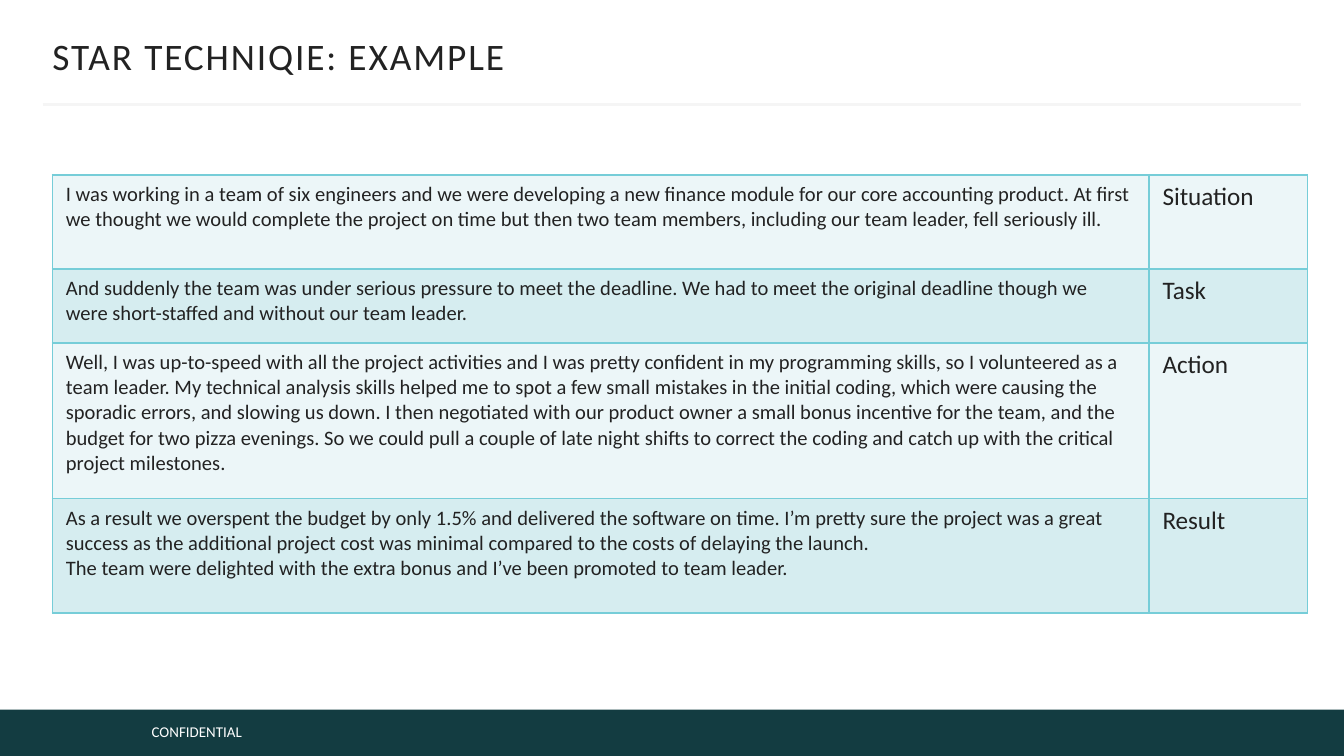
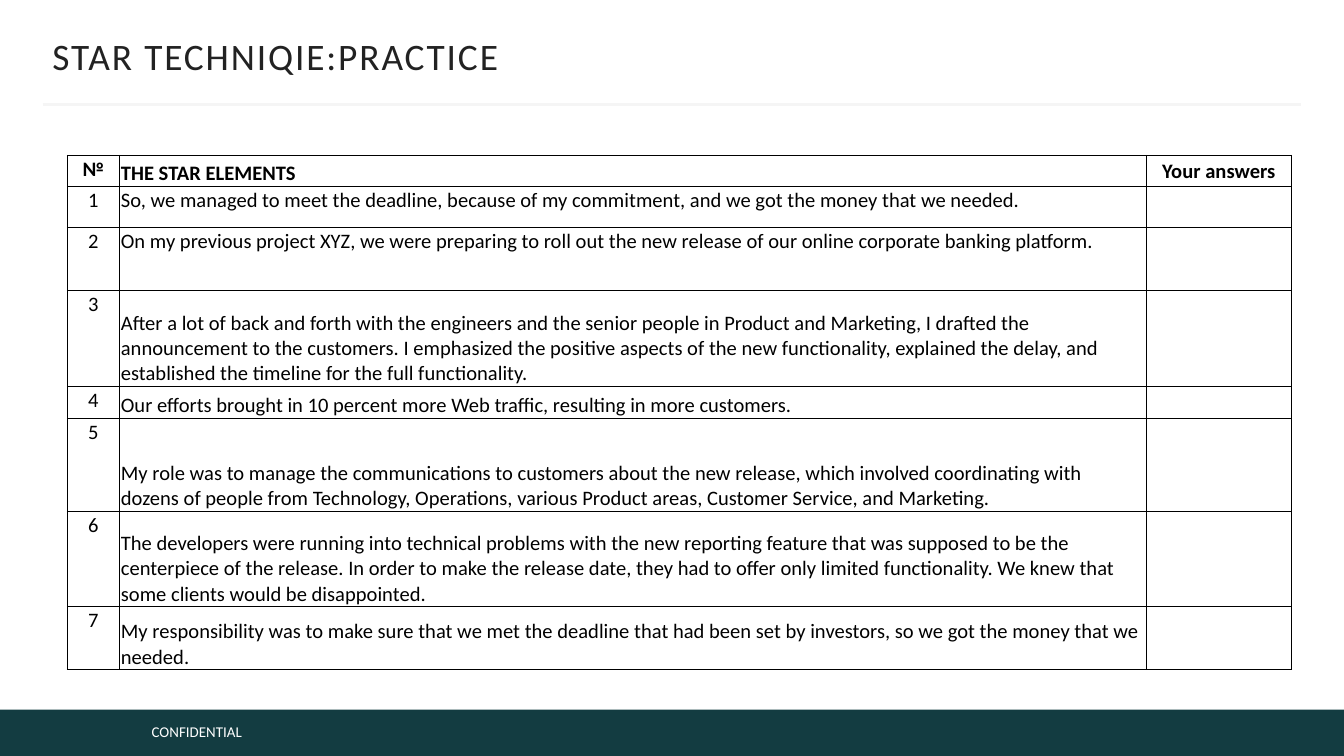
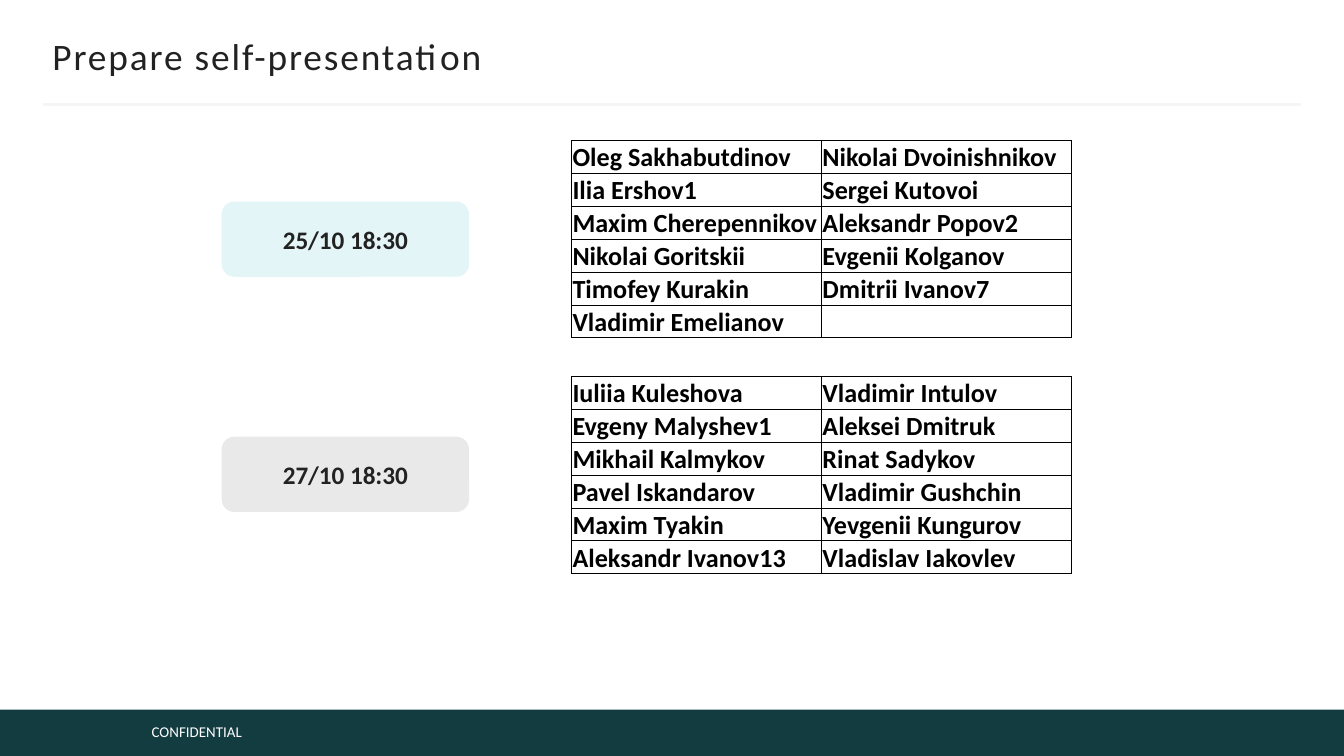
from lxml import etree
from pptx import Presentation
from pptx.dml.color import RGBColor
from pptx.enum.shapes import MSO_CONNECTOR, MSO_SHAPE
from pptx.enum.text import MSO_ANCHOR, PP_ALIGN
from pptx.oxml.ns import qn
from pptx.util import Inches, Pt

TOP, MIDDLE, BOTTOM = MSO_ANCHOR.TOP, MSO_ANCHOR.MIDDLE, MSO_ANCHOR.BOTTOM
LEFT, CENTER = PP_ALIGN.LEFT, PP_ALIGN.CENTER
RECT, ROUNDED = MSO_SHAPE.RECTANGLE, MSO_SHAPE.ROUNDED_RECTANGLE
STRAIGHT = MSO_CONNECTOR.STRAIGHT

FONT = "Calibri"
COLORS = {
    "band": "133C41", "rule": "F5F5F5", "text": "222222", "black": "000000",
    "white": "FFFFFF", "aqua": "76CDD8", "aqua_pale": "ECF6F8",
    "aqua_light": "D6EDF0", "slot_aqua": "E4F5F7", "slot_grey": "E9E9E9",
}

prs = Presentation()
prs.slide_width, prs.slide_height = Inches(10), Inches(5.625)
UNIT = prs.slide_width / 100  # square grid of 100 columns by 56.25 rows


def grid(*cells):
    return [round(c * UNIT) for c in cells]


def write(tf, text, color, size, bold=False, align=LEFT, spacing=0):
    """Fill a text frame, one paragraph a line."""
    tf.word_wrap = True
    for i, line in enumerate(text.split("\n")):
        p = tf.add_paragraph() if i else tf.paragraphs[0]
        p.alignment = align
        if not line:  # an empty cell keeps the row's text size
            p._p.get_or_add_endParaRPr().set("sz", str(int(size * 100)))
            continue
        r = p.add_run()
        r.text = line
        for name, value in {"name": FONT, "size": Pt(size), "bold": bold}.items():
            setattr(r.font, name, value)
        r.font.color.rgb = RGBColor.from_string(COLORS[color])
        if spacing:
            r._r.get_or_add_rPr().set("spc", str(spacing * 100))


# Shared frame: band, footer, rule and title
slides = []
for title in ("STAR TECHNIQIE: EXAMPLE", "STAR TECHNIQIE:PRACTICE",
              "Prepare self-presentation"):
    s = prs.slides.add_slide(prs.slide_layouts[6])
    slides.append(s)

    sp = s.shapes.add_shape(RECT, *grid(0, 52.8, 100, 3.45))
    sp.shadow.inherit = False
    sp.fill.solid()
    sp.fill.fore_color.rgb = RGBColor.from_string(COLORS["band"])
    sp.line.fill.background()

    sp = s.shapes.add_textbox(*grid(10.3, 53.3, 26.5, 2.4))
    write(sp.text_frame, "CONFIDENTIAL", "white", 8)

    line = s.shapes.add_connector(STRAIGHT, *grid(3.2, 7.8, 96.8, 7.8))
    line.line.color.rgb = RGBColor.from_string(COLORS["rule"])
    line.line.width = Pt(1.5)
    etree.SubElement(line._element.spPr, qn("a:effectLst"))

    sp = s.shapes.add_textbox(*grid(3.9, 2.5, 92.2, 3.3))
    tf = sp.text_frame
    tf.margin_left = tf.margin_right = 0
    tf.vertical_anchor = MIDDLE
    write(tf, title, "text", 20, spacing=1)

# Time slots
for i, (slot, fill) in enumerate([("25/10 18:30", "slot_aqua"),
                                  ("27/10 18:30", "slot_grey")]):
    sp = slides[2].shapes.add_shape(ROUNDED, *grid(16.5, 15 + 17.5 * i, 18.4, 5.6))
    sp.shadow.inherit = False
    sp.fill.solid()
    sp.fill.fore_color.rgb = RGBColor.from_string(COLORS[fill])
    sp.line.fill.background()
    sp.text_frame.vertical_anchor = MIDDLE
    write(sp.text_frame, slot, "text", 13.5, bold=True, align=CENTER)

# Table contents
example = [
    ("I was working in a team of six engineers and we were developing a new finance "
     "module for our core accounting product. At first we thought we would complete "
     "the project on time but then two team members, including our team leader, fell "
     "seriously ill.", "Situation"),
    ("And suddenly the team was under serious pressure to meet the deadline. We had to "
     "meet the original deadline though we were short-staffed and without our team "
     "leader.", "Task"),
    ("Well, I was up-to-speed with all the project activities and I was pretty "
     "confident in my programming skills, so I volunteered as a team leader. My "
     "technical analysis skills helped me to spot a few small mistakes in the initial "
     "coding, which were causing the sporadic errors, and slowing us down. I then "
     "negotiated with our product owner a small bonus incentive for the team, and the "
     "budget for two pizza evenings. So we could pull a couple of late night shifts to "
     "correct the coding and catch up with the critical project milestones.", "Action"),
    ("As a result we overspent the budget by only 1.5% and delivered the software on "
     "time. I’m pretty sure the project was a great success as the additional project "
     "cost was minimal compared to the costs of delaying the launch.\n"
     "The team were delighted with the extra bonus and I’ve been promoted to team "
     "leader.", "Result"),
]
elements = [
    "So, we managed to meet the deadline, because of my commitment, and we got the "
    "money that we needed.",
    "On my previous project XYZ, we were preparing to roll out the new release of our "
    "online corporate banking platform.",
    "After a lot of back and forth with the engineers and the senior people in Product "
    "and Marketing, I drafted the announcement to the customers. I emphasized the "
    "positive aspects of the new functionality, explained the delay, and established "
    "the timeline for the full functionality.",
    "Our efforts brought in 10 percent more Web traffic, resulting in more customers.",
    "My role was to manage the communications to customers about the new release, which "
    "involved coordinating with dozens of people from Technology, Operations, various "
    "Product areas, Customer Service, and Marketing.",
    "The developers were running into technical problems with the new reporting feature "
    "that was supposed to be the centerpiece of the release. In order to make the "
    "release date, they had to offer only limited functionality. We knew that some "
    "clients would be disappointed.",
    "My responsibility was to make sure that we met the deadline that had been set by "
    "investors, so we got the money that we needed.",
]
practice = [("№", "THE STAR ELEMENTS", "Your answers")]
practice += [(str(n), element, "") for n, element in enumerate(elements, 1)]
first_day = [
    ("Oleg Sakhabutdinov", "Nikolai Dvoinishnikov"),
    ("Ilia Ershov1", "Sergei Kutovoi"),
    ("Maxim Cherepennikov", "Aleksandr Popov2"),
    ("Nikolai Goritskii", "Evgenii Kolganov"),
    ("Timofey Kurakin", "Dmitrii Ivanov7"),
    ("Vladimir Emelianov", ""),
]
second_day = [
    ("Iuliia Kuleshova", "Vladimir Intulov"),
    ("Evgeny Malyshev1", "Aleksei Dmitruk"),
    ("Mikhail Kalmykov", "Rinat Sadykov"),
    ("Pavel Iskandarov", "Vladimir Gushchin"),
    ("Maxim Tyakin", "Yevgenii Kungurov"),
    ("Aleksandr Ivanov13", "Vladislav Iakovlev"),
]

# Table formats; sizes, aligns and anchors go by column
plain = {"border": ("black", 0.5), "color": "black", "fills": [],
         "margins": (0.1, 0.1, 0.1, 0), "top_cells": []}
names = {**plain, "slide": 2, "cols": [18.6] * 2, "rows": [2.45] * 6,
         "sizes": [14] * 2, "aligns": [LEFT] * 2, "anchors": [BOTTOM] * 2,
         "bold_rows": 6}
tables = [
    {"slide": 0, "at": (3.9, 13), "data": example, "cols": [81.6, 11.8],
     "rows": [7, 5.5, 11.6, 8.5], "border": ("aqua", 1), "color": "text",
     "fills": ["aqua_pale", "aqua_light"], "margins": (1, 0.5, 1, 0.5),
     "sizes": [11, 13.5], "aligns": [LEFT] * 2, "anchors": [TOP] * 2,
     "top_cells": [], "bold_rows": 0},
    {**plain, "slide": 1, "at": (5, 11.55), "data": practice,
     "cols": [3.9, 76.4, 10.8], "rows": [2.3, 3.1, 4.7, 7.1, 2.4, 6.9, 7.1, 4.7],
     "sizes": [11] * 3, "aligns": [CENTER, LEFT, CENTER],
     "anchors": [TOP, BOTTOM, MIDDLE], "top_cells": [(1, 1), (2, 1)],
     "bold_rows": 1},
    {**names, "at": (42.5, 10.45), "data": first_day},
    {**names, "at": (42.5, 28), "data": second_day},
]

# Tables
for t in tables:
    cols, rows = t["cols"], t["rows"]
    frame = slides[t["slide"]].shapes.add_table(
        len(rows), len(cols), *grid(*t["at"], sum(cols), sum(rows)))
    tbl = frame.table
    tbl.first_row = tbl.horz_banding = False
    for col, width in zip(tbl.columns, grid(*cols)):
        col.width = width
    for row, height in zip(tbl.rows, grid(*rows)):
        row.height = height

    border, weight = t["border"]
    for i, texts in enumerate(t["data"]):
        for j, text in enumerate(texts):
            cell = tbl.cell(i, j)
            for side, margin in zip(("left", "top", "right", "bottom"),
                                    grid(*t["margins"])):
                setattr(cell, f"margin_{side}", margin)
            cell.vertical_anchor = TOP if (i, j) in t["top_cells"] else t["anchors"][j]
            write(cell.text_frame, text, t["color"], t["sizes"][j],
                  i < t["bold_rows"], t["aligns"][j])

            tcPr = cell._tc.get_or_add_tcPr()
            for edge in ("lnL", "lnR", "lnT", "lnB"):
                ln = etree.SubElement(tcPr, qn(f"a:{edge}"), w=str(Pt(weight)))
                fill = etree.SubElement(ln, qn("a:solidFill"))
                etree.SubElement(fill, qn("a:srgbClr"), val=COLORS[border])
            if t["fills"]:
                cell.fill.solid()
                shade = COLORS[t["fills"][i % len(t["fills"])]]
                cell.fill.fore_color.rgb = RGBColor.from_string(shade)
            else:
                cell.fill.background()

prs.save("out.pptx")
